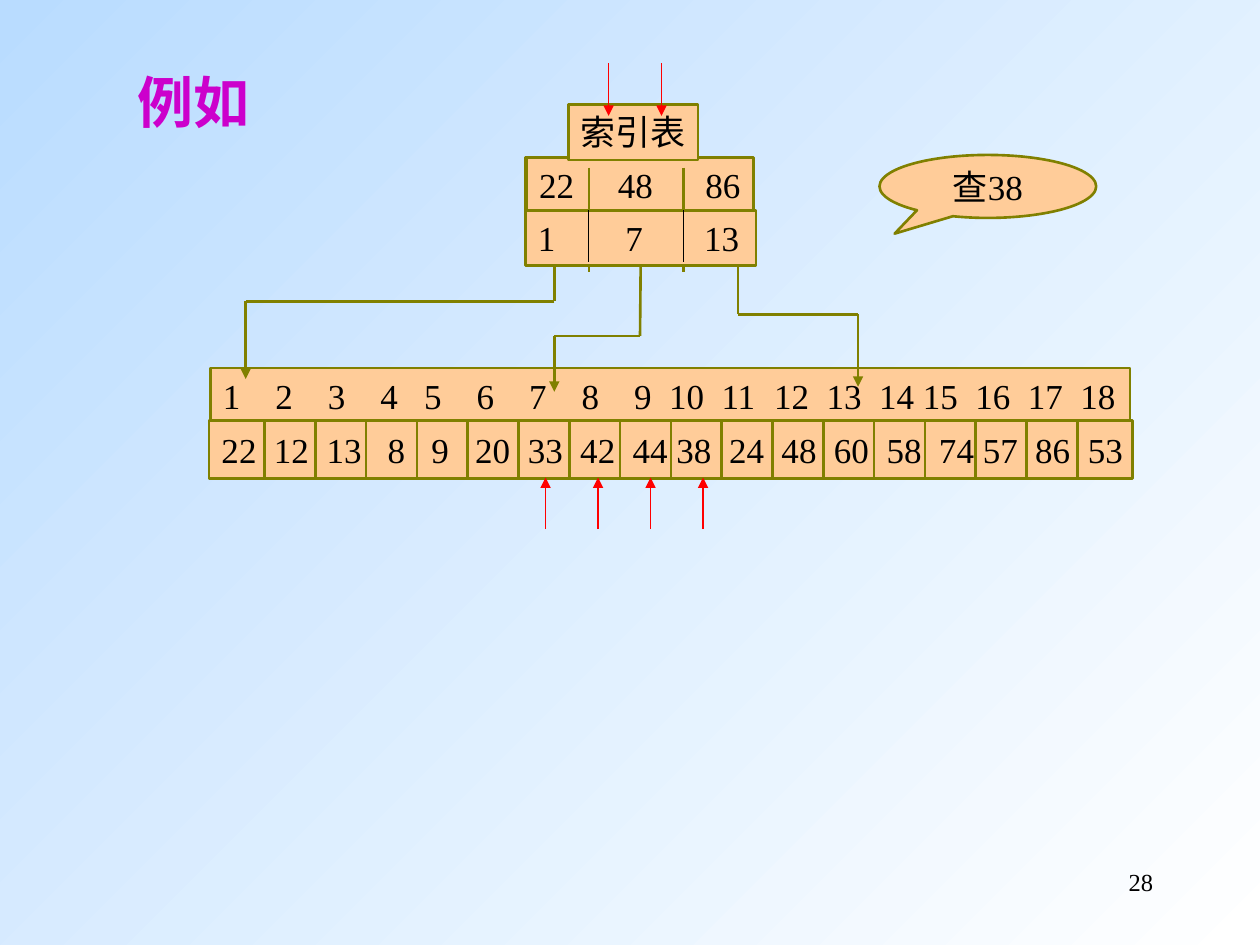
from itertools import pairwise

from lxml import etree
from pptx import Presentation
from pptx.dml.color import RGBColor
from pptx.enum.shapes import MSO_CONNECTOR, MSO_SHAPE
from pptx.enum.text import MSO_ANCHOR, PP_ALIGN
from pptx.oxml.ns import qn
from pptx.util import Inches, Pt

STRAIGHT = MSO_CONNECTOR.STRAIGHT
RECTANGLE = MSO_SHAPE.RECTANGLE
CALLOUT = MSO_SHAPE.OVAL_CALLOUT
TOP, MIDDLE = MSO_ANCHOR.TOP, MSO_ANCHOR.MIDDLE
LEFT, CENTER, RIGHT = PP_ALIGN.LEFT, PP_ALIGN.CENTER, PP_ALIGN.RIGHT
BOTTOM_SITE = 2

COLORS = {
    "sky": "B9DCFF", "white": "FFFFFF", "peach": "FFCC99", "olive": "808000",
    "red": "FF0000", "black": "000000", "heading": "CC00CC",
}
FONT = "Times New Roman"
SLIDE_WIDTH, SLIDE_HEIGHT = Inches(10), Inches(7.5)
COLUMN, ROW = SLIDE_WIDTH / 100, SLIDE_HEIGHT / 75
BODY_SIZE = 20
SPACE_WIDTH = Pt(BODY_SIZE) // 4

POSITIONS = range(1, 19)
POSITION_GAPS = [4, 4, 4, 3, 4, 4, 4, 4, 2, 2, 2, 2, 2, 1, 2, 2, 2]
KEYS = [22, 12, 13, 8, 9, 20, 33, 42, 44, 38, 24, 48, 60, 58, 74, 57, 86, 53]
KEY_GAPS = [2, 2, 3, 3, 3, 2, 2, 2, 1, 2, 2, 2, 2, 2, 1, 2, 2]
BLOCK_MAXIMA, MAXIMA_GAPS = [22, 48, 86], [5, 6]
BLOCK_STARTS, START_GAPS = [1, 7, 13], [8, 7]


def rgb(color):
    return RGBColor.from_string(COLORS[color])


def grid(left, top, width, height):
    return [round(n) for n in (left * COLUMN, top * ROW, width * COLUMN, height * ROW)]


def write(shape, text, size=BODY_SIZE, color="black", bold=False,
          align=LEFT, anchor=TOP, wrap=False, tabs=()):
    frame = shape.text_frame
    frame.text = text
    frame.word_wrap = wrap
    frame.vertical_anchor = anchor
    paragraph = frame.paragraphs[0]
    paragraph.alignment = align
    if tabs:
        frame.margin_right = 0
        stops = etree.SubElement(paragraph._p.get_or_add_pPr(), qn("a:tabLst"))
        for stop in tabs:
            etree.SubElement(stops, qn("a:tab"), pos=str(stop), algn="l")
    font = paragraph.runs[0].font
    font.name, font.size, font.bold = FONT, Pt(size), bold
    font.color.rgb = rgb(color)


def cell(slide, box, kind=RECTANGLE):
    shape = slide.shapes.add_shape(kind, *grid(*box))
    shape.shadow.inherit = False
    shape.fill.solid()
    shape.fill.fore_color.rgb = rgb("peach")
    shape.line.color.rgb = rgb("olive")
    shape.line.width = Pt(1.5)
    return shape


def line(slide, start, end, color="olive", width=1.5, arrow=False):
    (x1, y1), (x2, y2) = start, end
    connector = slide.shapes.add_connector(
        STRAIGHT, round(x1 * COLUMN), round(y1 * ROW), round(x2 * COLUMN), round(y2 * ROW))
    connector.line.color.rgb = rgb(color)
    connector.line.width = Pt(width)
    if arrow:
        etree.SubElement(connector.line._get_or_add_ln(), qn("a:tailEnd"), type="triangle")
    etree.SubElement(connector._element.spPr, qn("a:effectLst"))
    return connector


def number_row(slide, box, values, gaps, anchor=TOP):
    tabs, stop = [], 0
    for value, gap in zip(values, gaps):
        stop += (2 * len(str(value)) + gap) * SPACE_WIDTH
        tabs.append(stop)
    row = cell(slide, box)
    write(row, "\t".join(map(str, values)), anchor=anchor, wrap=True, tabs=tabs)
    return row


def record_table(slide, box):
    left, top, width, height = box
    head = height / 2 - 0.2
    number_row(slide, (left + 0.1, top, width - 0.3, head + 0.2), POSITIONS, POSITION_GAPS)
    number_row(slide, (left, top + head, width, height - head), KEYS, KEY_GAPS, MIDDLE)
    pitch = width * 0.055
    for index in range(len(KEYS) - 1):
        x = left + width * 0.06 + index * pitch
        line(slide, (x, top + head), (x, top + height))


def index_table(slide, box):
    left, top, width, height = box
    row = height / 2
    dividers = [left + width * share for share in (0.275, 0.685)]
    cell(slide, (left, top, width - 0.3, height - 0.3))
    line(slide, (left, top + row), (left + width - 0.7, top + row))
    number_row(slide, (left + 0.1, top, width - 0.3, row + 0.1), BLOCK_MAXIMA, MAXIMA_GAPS)
    for x in dividers:
        line(slide, (x, top + 0.8), (x, top + height + 0.5))
    starts = number_row(slide, (left, top + row - 0.1, width, row + 0.1),
                        BLOCK_STARTS, START_GAPS)
    for x in dividers:
        line(slide, (x, top + row - 0.1), (x, top + height - 0.3), "black", 0.75)
    return starts


def block_pointers(slide, box, starts):
    left, top, width, height = box
    routes = [
        (0.504, 0, 0.29, 0.285),
        (0.644, 0.504, 0.56, 1),
        (0.804, 1, 0.39, 0.96),
    ]
    routes[0] = (0.504, 0, 0.29, 0.9)
    for source, target, turn, end in routes:
        x1, x2 = left + width * source, left + width * target
        y, tip = top + height * turn, top + height * end
        corners = [(x1, top), (x1, y), (x2, y), (x2, tip)]
        legs = [line(slide, a, b, arrow=b == corners[-1]) for a, b in pairwise(corners)]
        if source == 0.644:
            legs[0].begin_connect(starts, BOTTOM_SITE)


def probe_arrows(slide, box, count, upward=False):
    left, top, width, height = box
    ends = (top + height, top) if upward else (top, top + height)
    for index in range(count):
        x = left + index * width / (count - 1)
        line(slide, (x, ends[0]), (x, ends[1]), "red", 0.75, arrow=True)


def query_bubble(slide, box):
    bubble = cell(slide, box, CALLOUT)
    bubble.adjustments[0], bubble.adjustments[1] = -0.43, 0.75
    write(bubble, "查38", align=CENTER, anchor=MIDDLE)


def caption(slide, box, text, **style):
    write(slide.shapes.add_textbox(*grid(*box)), text, **style)


def paint_background(slide):
    fill = slide.background.fill
    fill.gradient()
    fill.gradient_angle = 315
    for stop, color in zip(fill.gradient_stops, ("sky", "white")):
        stop.color.rgb = rgb(color)


def indexed_search_slide(slide):
    paint_background(slide)
    record_table(slide, (16.6, 29.2, 73.3, 8.8))
    starts = index_table(slide, (41.7, 12.5, 18.3, 8.6))
    block_pointers(slide, (19.5, 21, 48.6, 10.1), starts)
    write(cell(slide, (45.1, 8.3, 10.3, 4.4)), "索引表")
    query_bubble(slide, (69.8, 12.3, 17.2, 5))
    probe_arrows(slide, (48.3, 5, 4.2, 4.2), 2)
    probe_arrows(slide, (43.3, 37.9, 12.5, 4.1), 4, upward=True)
    caption(slide, (9.9, 4.9, 10.9, 6.4), "例如", size=32, color="heading", bold=True)
    caption(slide, (71.7, 68.3, 20.8, 5), "28", size=14, align=RIGHT, wrap=True)


def main():
    presentation = Presentation()
    presentation.slide_width, presentation.slide_height = SLIDE_WIDTH, SLIDE_HEIGHT
    indexed_search_slide(presentation.slides.add_slide(presentation.slide_layouts[6]))
    presentation.save("out.pptx")


if __name__ == "__main__":
    main()
